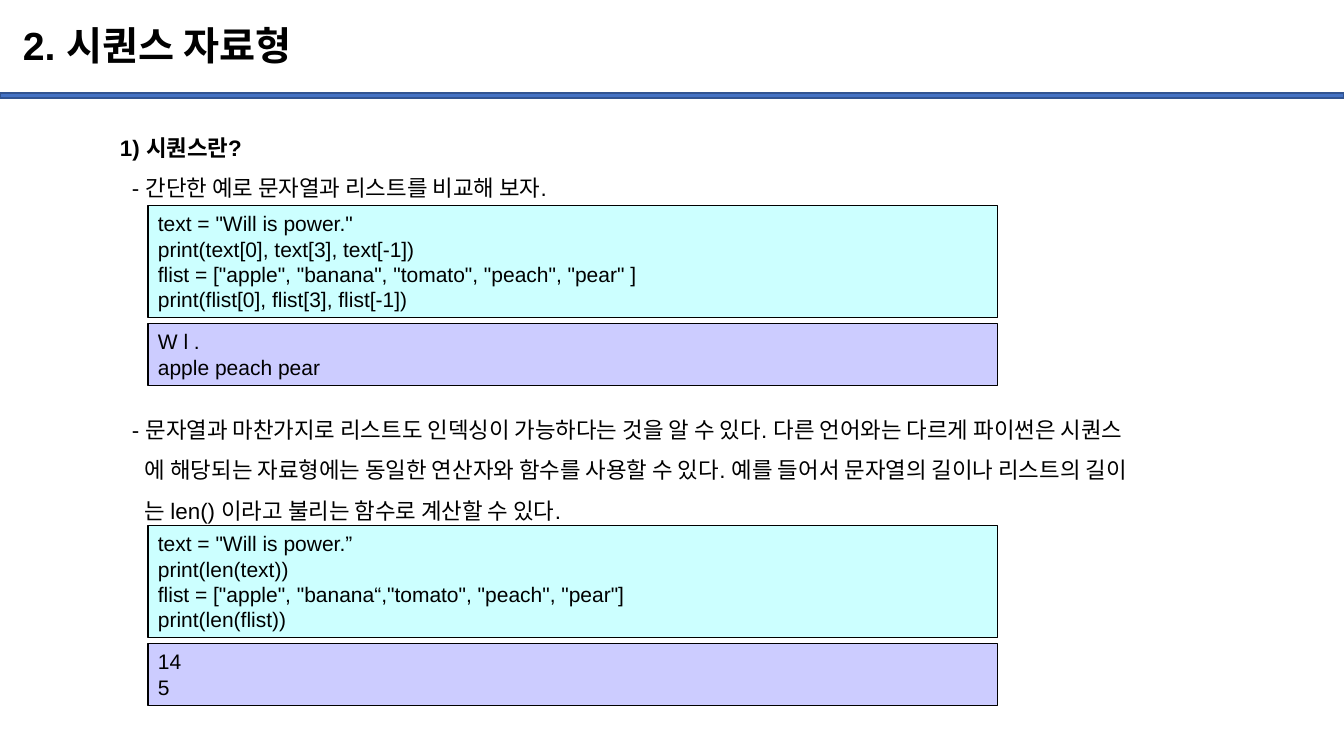
from pptx import Presentation
from pptx import util as u
from pptx.dml.color import RGBColor
from pptx.enum import shapes, text

PX = 914400 / 100.8
BLACK = RGBColor(0x00, 0x00, 0x00)
RULE_BLUE = RGBColor(0x44, 0x72, 0xC4)
RULE_EDGE = RGBColor(0x32, 0x54, 0x91)
CODE_FILL = RGBColor(0xCC, 0xFF, 0xFF)
OUTPUT_FILL = RGBColor(0xCC, 0xCC, 0xFF)


def px(length):
    return u.Emu(round(length * PX))


def write_lines(shape, lines, size, spacing=1.0, anchor=text.MSO_ANCHOR.TOP):
    """Write (text, indent in px, bold) lines as paragraphs."""
    frame = shape.text_frame
    frame.word_wrap = True
    frame.vertical_anchor = anchor
    for index, (words, indent, bold) in enumerate(lines):
        paragraph = frame.add_paragraph() if index else frame.paragraphs[0]
        paragraph.alignment = text.PP_ALIGN.LEFT
        paragraph.line_spacing = spacing
        if indent:
            paragraph._p.get_or_add_pPr().set("marL", str(px(indent)))
        run = paragraph.add_run()
        run.text = words
        run.font.color.rgb = BLACK
        for name, value in {"name": "Arial", "size": u.Pt(size), "bold": bold}.items():
            setattr(run.font, name, value)


presentation = Presentation()
presentation.slide_width, presentation.slide_height = px(1344), px(756)
slide = presentation.slides.add_slide(presentation.slide_layouts[6])

# Title and the rule below it
title = slide.shapes.add_textbox(px(13), px(10), px(1159), px(75))
write_lines(title, [("2. 시퀀스 자료형", 0, True)], 28, 0.9, text.MSO_ANCHOR.MIDDLE)

rule = slide.shapes.add_shape(shapes.MSO_SHAPE.RECTANGLE, 0, px(93), px(1344), px(5))
rule.shadow.inherit = False
rule.fill.solid()
rule.fill.fore_color.rgb = RULE_BLUE
rule.line.color.rgb = RULE_EDGE
rule.line.width = u.Pt(1)

# Explanations, each above its example
explanations = [
    (116, 92, [
        ("1) 시퀀스란?", 0, True),
        ("- 간단한 예로 문자열과 리스트를 비교해 보자.", 12, False),
    ]),
    (398, 132, [
        ("- 문자열과 마찬가지로 리스트도 인덱싱이 가능하다는 것을 알 수 있다. 다른 언어와는 다르게 파이썬은 시퀀스", 12, False),
        ("에 해당되는 자료형에는 동일한 연산자와 함수를 사용할 수 있다. 예를 들어서 문자열의 길이나 리스트의 길이", 25, False),
        ("는 len() 이라고 불리는 함수로 계산할 수 있다.", 25, False),
    ]),
]
for top, height, lines in explanations:
    box = slide.shapes.add_textbox(px(110), px(top), px(1181), px(height))
    write_lines(box, lines, 16, 1.5)

# Examples: a code panel with its output panel below
examples = [
    (206,
     ['text = "Will is power."',
      'print(text[0], text[3], text[-1])',
      'flist = ["apple", "banana", "tomato", "peach", "pear" ]',
      'print(flist[0], flist[3], flist[-1])'],
     ['W l .', 'apple peach pear']),
    (526,
     ['text = "Will is power.”',
      'print(len(text))',
      'flist = ["apple", "banana“,"tomato", "peach", "pear"]',
      'print(len(flist))'],
     ['14', '5']),
]
for example_top, code, output in examples:
    for top, height, fill, lines in [
        (example_top, 112, CODE_FILL, code),
        (example_top + 118, 62, OUTPUT_FILL, output),
    ]:
        panel = slide.shapes.add_shape(
            shapes.MSO_SHAPE.RECTANGLE, px(148), px(top), px(850), px(height))
        panel.shadow.inherit = False
        panel.fill.solid()
        panel.fill.fore_color.rgb = fill
        panel.line.color.rgb = BLACK
        panel.line.width = u.Pt(0.75)
        write_lines(panel, [(line, 0, False) for line in lines], 15)

presentation.save("out.pptx")
